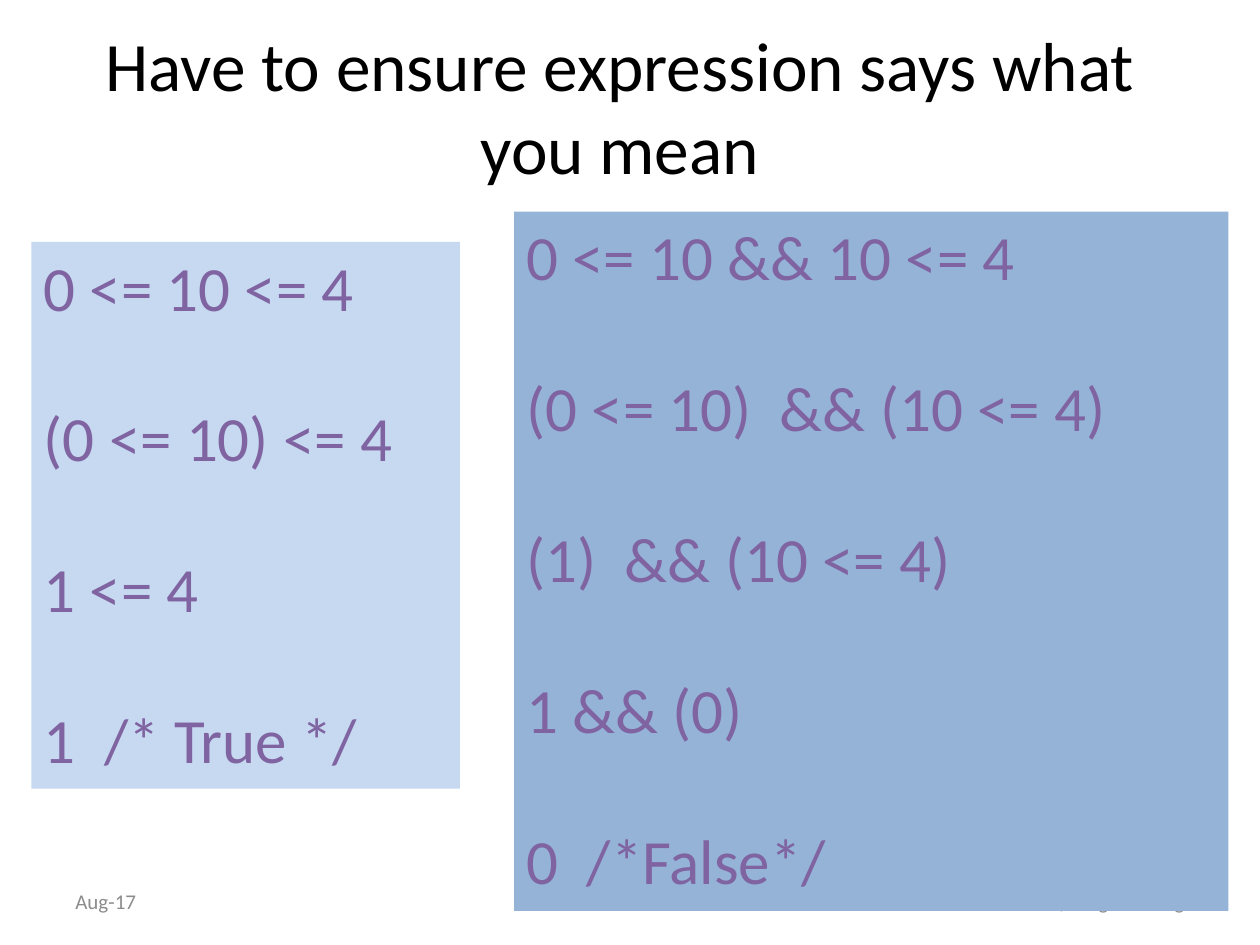
import pptx
import pptx.dml.color
import pptx.enum.shapes
import pptx.enum.text
import pptx.util

RGB = pptx.dml.color.RGBColor
ALIGN = pptx.enum.text.PP_ALIGN
ANCHOR = pptx.enum.text.MSO_ANCHOR

BLACK = RGB(0x00, 0x00, 0x00)
GREY = RGB(0x8C, 0x8C, 0x8C)
PURPLE = RGB(0x80, 0x64, 0xA2)
PALE_BLUE = RGB(0xC6, 0xD9, 0xF1)
MID_BLUE = RGB(0x95, 0xB3, 0xD7)

WIDTH, HEIGHT = 10, 7.5
STEP_GAP = 43  # one empty line between evaluation steps

CHAINED_STEPS = ["0 <= 10 <= 4", "(0 <= 10) <= 4", "1 <= 4", "1  /* True */"]
JOINED_STEPS = ["0 <= 10 && 10 <= 4", "(0 <= 10)  && (10 <= 4)",
                "(1)  && (10 <= 4)", "1 && (0)", "0  /*False*/"]


def inches(box):
    return [pptx.util.Inches(v) for v in box]


def write(tf, lines, size, color, align=ALIGN.LEFT, anchor=ANCHOR.MIDDLE,
          wrap=True, gap=0):
    """Fill a text frame with one paragraph per line."""
    frame_format = {"auto_size": pptx.enum.text.MSO_AUTO_SIZE.NONE,
                    "word_wrap": wrap, "vertical_anchor": anchor}
    for name, value in frame_format.items():
        setattr(tf, name, value)
    font_format = {"name": "Calibri", "size": pptx.util.Pt(size)}
    for i, line in enumerate(lines):
        p = tf.paragraphs[0] if i == 0 else tf.add_paragraph()
        p.alignment = align
        p.space_before = pptx.util.Pt(gap if i else 0)
        r = p.add_run()
        r.text = line
        for name, value in font_format.items():
            setattr(r.font, name, value)
        r.font.color.rgb = color


def place_title(s, box, text):
    title = s.shapes.title
    title.left, title.top, title.width, title.height = inches(box)
    write(title.text_frame, [text], 39.6, BLACK, ALIGN.CENTER)


def add_footer(s, box, left_text, right_text):
    """Put one text at each end of the footer row."""
    x, y, w, h = box
    part = 2.33
    for left, text, align in ((x, left_text, ALIGN.LEFT),
                              (x + w - part, right_text, ALIGN.RIGHT)):
        sp = s.shapes.add_textbox(*inches((left, y, part, h)))
        write(sp.text_frame, [text], 12, GREY, align)


def add_steps(s, box, steps, fill, wrap):
    """Draw a filled panel listing the steps of an evaluation."""
    sp = s.shapes.add_shape(pptx.enum.shapes.MSO_SHAPE.RECTANGLE, *inches(box))
    sp.shadow.inherit = False
    sp.fill.solid()
    sp.fill.fore_color.rgb = fill
    sp.line.fill.background()
    write(sp.text_frame, steps, 36, PURPLE, anchor=ANCHOR.TOP, wrap=wrap,
          gap=STEP_GAP)


def main():
    prs = pptx.Presentation()
    prs.slide_width, prs.slide_height = inches((WIDTH, HEIGHT))
    s = prs.slides.add_slide(prs.slide_layouts[5])
    margin = WIDTH / 40
    place_title(s, (0.67, 0.42, 0.85 * WIDTH, 0.83),
                "Have to ensure expression says what you mean")
    add_footer(s, (2 * margin, 6.95, WIDTH - 4 * margin, 0.4),
               "Aug-17", "Esc101, Programming")
    add_steps(s, (margin, 1.92, 0.34 * WIDTH, 4.34), CHAINED_STEPS,
              PALE_BLUE, False)
    joined_width = 5.67
    add_steps(s, (WIDTH - margin - joined_width, 1.68, joined_width, 5.55),
              JOINED_STEPS, MID_BLUE, True)
    prs.save("out.pptx")


if __name__ == "__main__":
    main()
